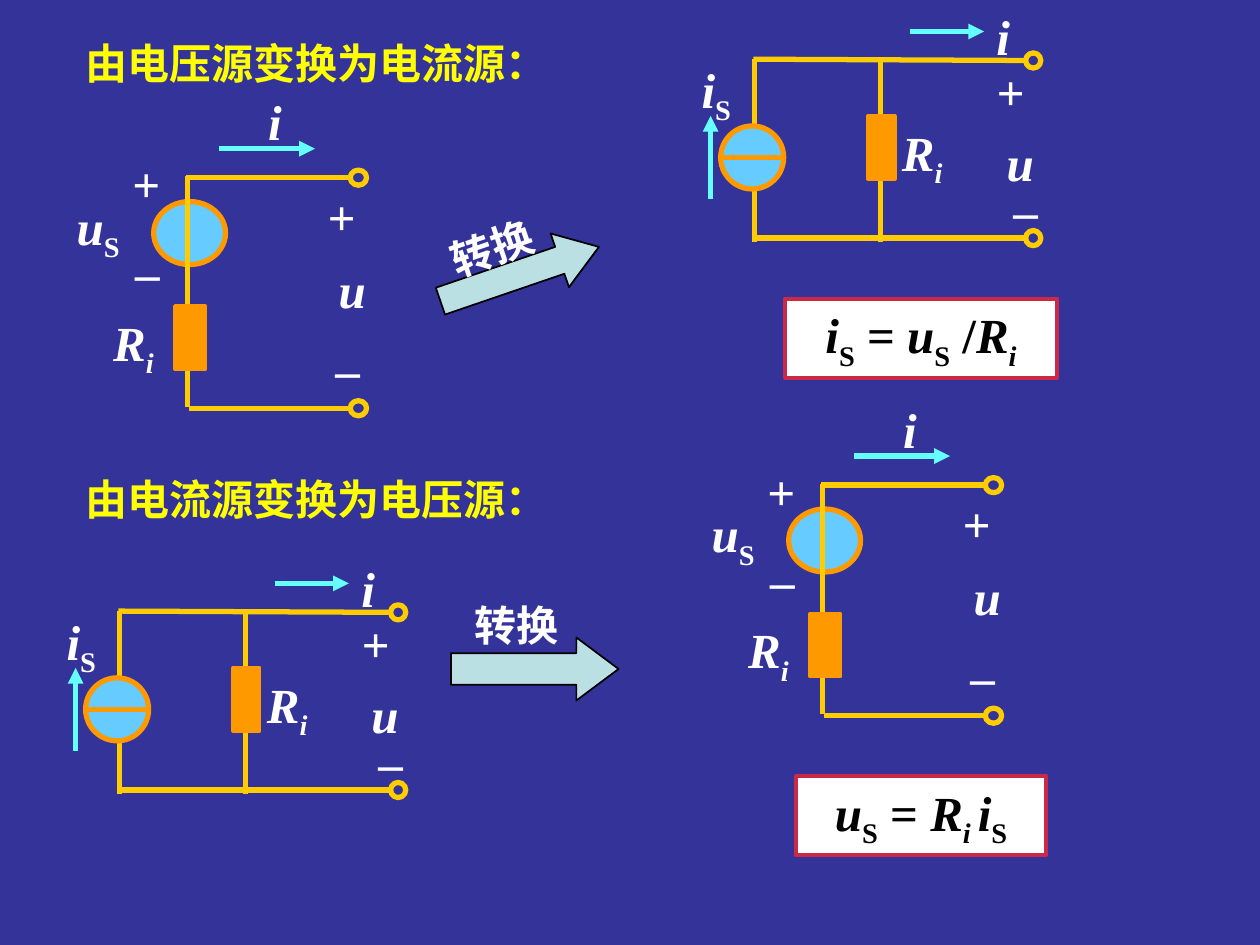
from lxml import etree
from pptx import Presentation
from pptx.dml.color import RGBColor
from pptx.enum.shapes import MSO_CONNECTOR as LINE, MSO_SHAPE as SHAPE
from pptx.enum.text import MSO_ANCHOR as ANCHOR, MSO_AUTO_SIZE as FIT, PP_ALIGN as ALIGN
from pptx.oxml.ns import qn
from pptx.util import Inches, Pt

COLORS = {
    "back": "333399", "heading": "FFFF00", "label": "FFFFFF", "formula": "020202",
    "wire": "FFCC00", "part": "FF9900", "source": "66CCFF", "current": "66FFFF",
    "arrow": "BBE0E3", "outline": "000000", "panel": "FFFFFF", "frame": "CA2A48",
}
FONT = "Times New Roman"

# Runs are (text, style): "i" is italic, "s" is subscript.
PLUS, MINUS = [("+", "i")], [("_", "i")]
CURRENT, VOLTAGE = [("i", "i")], [("u", "i")]
RESISTANCE = [("R", "i"), ("i", "is")]
SOURCE_CURRENT = [("i", "i"), ("S", "s")]
SOURCE_VOLTAGE = [("u", "i"), ("S", "s")]


def color(name):
    return RGBColor.from_string(COLORS[name])


def write(shape, runs, tint="label", size=28, align=ALIGN.LEFT, wrap=True):
    frame = shape.text_frame
    frame.word_wrap = wrap
    frame.auto_size = FIT.SHAPE_TO_FIT_TEXT
    para = frame.paragraphs[0]
    para.alignment = align
    for text, style in runs:
        span = para.add_run()
        span.text = text
        font = span.font
        font.name, font.size, font.bold = FONT, Pt(size), True
        font.italic = "i" in style
        font.color.rgb = color(tint)
        if "s" in style:
            font._element.set("baseline", "-25000")


def add_text(shapes, box, runs, anchor=ANCHOR.TOP, **style):
    label = shapes.add_textbox(*map(Inches, box))
    label.text_frame.vertical_anchor = anchor
    write(label, runs, **style)
    return label


def add_figure(shapes, kind, box, fill, line, width):
    figure = shapes.add_shape(kind, *map(Inches, box))
    figure.shadow.inherit = False
    if fill:
        figure.fill.solid()
        figure.fill.fore_color.rgb = color(fill)
    else:
        figure.fill.background()
    figure.line.color.rgb = color(line)
    figure.line.width = Pt(width)
    return figure


def add_line(shapes, start, end, tint, arrow=False):
    line = shapes.add_connector(LINE.STRAIGHT, *map(Inches, (*start, *end)))
    line.line.color.rgb = color(tint)
    line.line.width = Pt(3)
    if arrow:
        stroke = line._element.spPr.find(qn("a:ln"))
        etree.SubElement(stroke, qn("a:tailEnd"), type="triangle")
    etree.SubElement(line._element.spPr, qn("a:effectLst"))


class Circuit:
    """A group whose parts are placed relative to its top left corner."""

    def __init__(self, page, left, top):
        self.shapes = page.shapes.add_group_shape().shapes
        self.left, self.top = left, top

    def at(self, x, y, *size):
        return (self.left + x, self.top + y, *size)

    def text(self, box, runs, **style):
        add_text(self.shapes, self.at(*box), runs, **style)

    def line(self, start, end, tint="wire", arrow=False):
        add_line(self.shapes, self.at(*start), self.at(*end), tint, arrow)

    def source(self, box):
        add_figure(self.shapes, SHAPE.OVAL, self.at(*box), "source", "part", 3)

    def resistor(self, box):
        add_figure(self.shapes, SHAPE.RECTANGLE, self.at(*box), "part", "part", 2.25)

    def terminals(self, x, tops, width):
        for y in tops:
            add_figure(self.shapes, SHAPE.OVAL, self.at(x, y, width, 0.12), None, "wire", 3)


def add_voltage_circuit(page, left, top):
    circuit = Circuit(page, left, top)
    circuit.text((1.52, 0, 0.47, 0.57), CURRENT)
    circuit.source((0.71, 0.92, 0.57, 0.5))
    for x, y, sign, wrap in ((0.44, 0.49, "+", False), (0.45, 1.06, "_", True)):
        circuit.text((x, y, 0.42, 0.57), [(sign, "")], anchor=ANCHOR.MIDDLE,
                     align=ALIGN.CENTER, wrap=wrap)
    circuit.text((0, 0.83, 0.66, 0.63), SOURCE_VOLTAGE)
    circuit.line((0.98, 0.72), (0.98, 2.55))
    circuit.line((0.97, 0.73), (2.27, 0.73))
    circuit.line((0.99, 2.56), (2.27, 2.56))
    circuit.line((1.23, 0.5), (1.99, 0.5), "current", arrow=True)
    circuit.resistor((0.88, 1.75, 0.24, 0.5))
    circuit.text((0.29, 1.75, 0.57, 0.63), RESISTANCE)
    for x, y, runs in ((1.99, 0.75, PLUS), (2.08, 1.33, VOLTAGE), (2.08, 1.83, MINUS)):
        circuit.text((x, y, 0.57, 0.57), runs)
    circuit.terminals(2.27, (0.67, 2.5), 0.13)


def add_current_circuit(page, left, top):
    circuit = Circuit(page, left, top)
    circuit.line((0.51, 0.47), (2.67, 0.48))
    circuit.text((2.34, 0, 0.42, 0.57), CURRENT)
    circuit.text((1.59, 0.92, 0.58, 0.63), RESISTANCE)
    for x, y, runs in ((2.34, 0.44, PLUS), (2.42, 1, VOLTAGE), (2.5, 1.25, MINUS)):
        circuit.text((x, y, 0.5, 0.57), runs)
    circuit.line((0.51, 1.89), (2.67, 1.89))
    circuit.line((0.52, 0.47), (0.52, 1.92))
    circuit.source((0.25, 1, 0.5, 0.5))
    circuit.line((0.25, 1.25), (0.75, 1.25), "part")
    circuit.line((1.52, 1.92), (1.52, 0.47))
    circuit.resistor((1.42, 0.92, 0.21, 0.5))
    circuit.text((0, 0.42, 0.5, 0.63), SOURCE_CURRENT)
    circuit.line((1.75, 0.25), (2.34, 0.25), "current", arrow=True)
    circuit.line((0.17, 1.58), (0.17, 0.92), "current", arrow=True)
    circuit.terminals(2.67, (0.42, 1.83), 0.12)


def add_conversion(page, arrow_box, label_box, head, rotation=0):
    """Block arrow with its caption, both turned by the same angle."""
    shapes = page.shapes.add_group_shape().shapes
    arrow = add_figure(shapes, SHAPE.RIGHT_ARROW, arrow_box, "arrow", "outline", 1)
    arrow.adjustments[1] = head
    label = add_text(shapes, label_box, [("转换", "")], size=24)
    arrow.rotation = label.rotation = rotation


def add_heading(page, box, text):
    add_text(page.shapes, box, [(text, "")], tint="heading", size=24)


def add_formula(page, box, runs):
    panel = add_figure(page.shapes, SHAPE.RECTANGLE, box, "panel", "frame", 2.25)
    panel.text_frame.vertical_anchor = ANCHOR.TOP
    write(panel, runs, tint="formula", align=ALIGN.CENTER)


def main():
    deck = Presentation()
    deck.slide_width, deck.slide_height = Inches(10), Inches(7.5)
    page = deck.slides.add_slide(deck.slide_layouts[6])
    page.background.fill.solid()
    page.background.fill.fore_color.rgb = color("back")

    add_heading(page, (0.58, 0.25, 4.08, 0.5), "由电压源变换为电流源：")
    add_conversion(page, (3.46, 1.95, 1.33, 0.45), (3.47, 1.71, 0.92, 0.5), 0.73, 341.1)
    add_conversion(page, (3.58, 5.06, 1.33, 0.5), (3.67, 4.71, 0.92, 0.5), 0.67)
    add_heading(page, (0.58, 3.71, 4.08, 0.5), "由电流源变换为电压源：")

    add_voltage_circuit(page, 0.51, 0.68)
    add_current_circuit(page, 5.47, 0)
    add_current_circuit(page, 0.43, 4.38)
    add_voltage_circuit(page, 5.55, 3.12)

    add_formula(page, (6.23, 2.37, 2.16, 0.63),
                [*SOURCE_CURRENT, (" = ", ""), *SOURCE_VOLTAGE, (" /", ""), *RESISTANCE])
    add_formula(page, (6.32, 6.16, 1.98, 0.63),
                [*SOURCE_VOLTAGE, (" = ", ""), ("R", "i"), ("i ", "is"), *SOURCE_CURRENT])
    deck.save("out.pptx")


if __name__ == "__main__":
    main()
